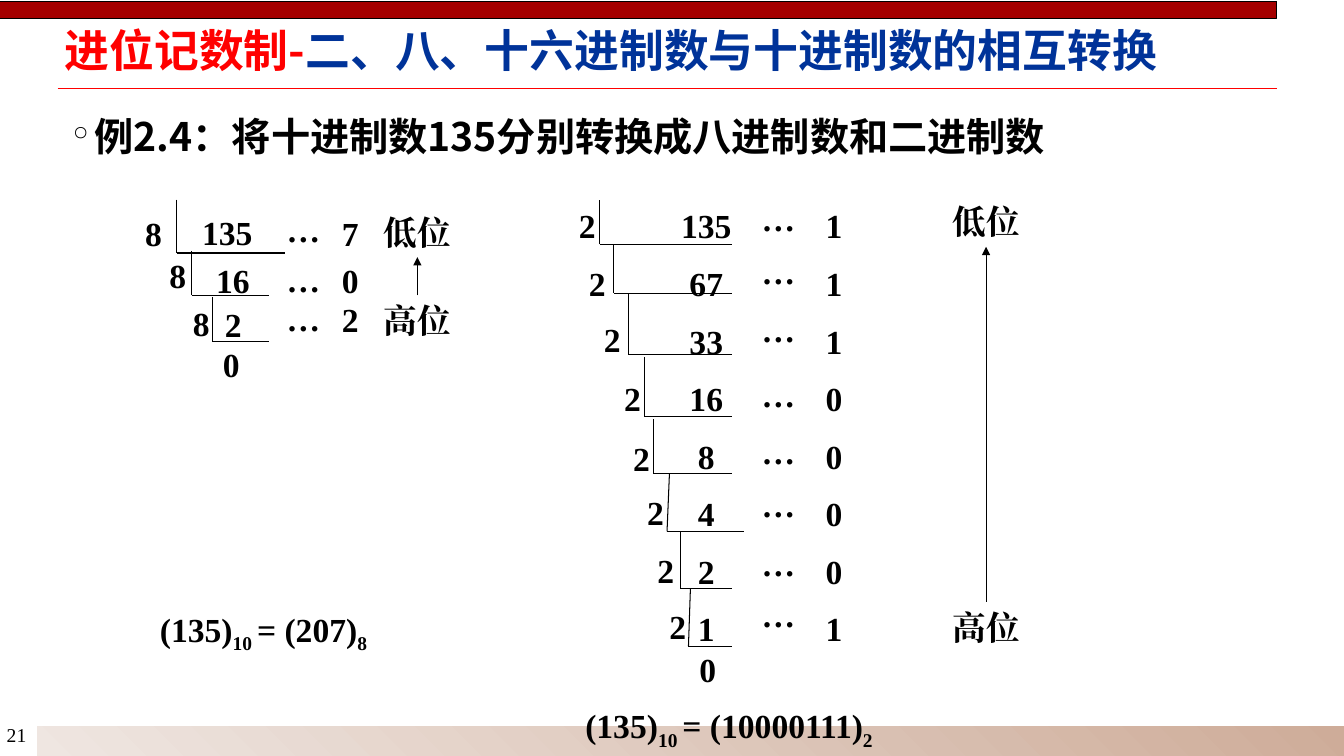
from lxml import etree
from pptx import Presentation, util as u
from pptx.dml.color import RGBColor
from pptx.enum import shapes, text as t
from pptx.oxml.ns import qn

THEME = {
    "black": "000000", "white": "FFFFFF", "red": "FF0000", "blue": "003399",
    "banner": "A40000", "band_dark": "CEAC99", "band_light": "EFE6E1",
    "cjk": "Noto Sans CJK SC", "serif": "Times New Roman",
    "title": 32, "body": 28, "number": 24, "page": 14,
}

TITLE = [("进位记数制-", THEME["red"], 0),
         ("二、八、十六进制数与十进制数的相互转换", THEME["blue"], 0)]
EXAMPLE = "例2.4：将十进制数135分别转换成八进制数和二进制数"
PAGE = "21"
LOW, HIGH, DOTS = "低位", "高位", "…"

FIRST_TOP, STEP = 5.05, 1.45
BINARY_TOPS = [round(FIRST_TOP + STEP * i, 2) for i in range(8)]
BINARY_VALUES = ["135", "67", "33", "16", "8", "4", "2", "1"]

OCTAL = {
    "divisor": "8", "line": 1, "dots_x": 7.65, "remainder_x": 8.83,
    "dividends": [("135", 5.73, 5.21), ("16", 5.87, 6.43),
                  ("2", 5.88, 7.54), ("0", 5.83, 8.53)],
    "divisors": [(3.87, 5.23), (4.48, 6.3), (5.07, 7.52)],
    "brackets": [(4.45, 5.03, 4.45, 6.38, 7.19), (4.83, 6.32, 4.83, 7.44, 6.78),
                 (5.36, 7.49, 5.36, 8.61, 6.78)],
    "dots_tops": [5.13, 6.4, 7.37],
    "remainders": [("7", 5.23), ("0", 6.43), ("2", 7.42)],
    "order": (10.52, 5.21, 7.44),
    "result": ("207", "8", 3.78, 15.21, 5.92),
}
BINARY = {
    "divisor": "2", "line": 0.75, "dots_x": 19.62, "remainder_x": 21.02,
    "dividends": [(value, 17.8, top) for value, top in zip(BINARY_VALUES, BINARY_TOPS)]
                 + [("0", 17.84, 16.23)],
    "divisors": [(14.8, 5.03), (15.05, 6.5), (15.43, 7.92), (15.94, 9.4),
                 (16.17, 10.9), (16.52, 12.27), (16.78, 13.74), (17.08, 15.14)],
    "brackets": [(15.11, 5.05, 15.11, 6.15, 18.44), (15.47, 6.15, 15.47, 7.39, 18.44),
                 (15.85, 7.39, 15.85, 8.94, 18.44), (16.23, 8.99, 16.23, 10.5, 18.44),
                 (16.48, 10.57, 16.48, 11.94, 18.44), (16.87, 11.94, 16.81, 13.39, 18.75),
                 (17.14, 13.39, 17.14, 14.83, 18.44), (17.4, 14.83, 17.35, 16.28, 18.44)],
    "dots_tops": [4.85, 6.2, 7.65, 9.3, 10.74, 12.07, 13.56, 14.83],
    "remainders": list(zip("11100001", BINARY_TOPS)),
    "order": (24.85, 4.95, 15.16),
    "result": ("10000111", "2", 14.5, 17.65, 7.95),
}


def write(shape, text, *, size=THEME["number"], font=THEME["serif"], bold=True,
          align=t.PP_ALIGN.LEFT, anchor=t.MSO_ANCHOR.TOP, wrap=False, margins=None):
    frame = shape.text_frame
    frame.word_wrap = wrap
    frame.auto_size = t.MSO_AUTO_SIZE.NONE
    frame.vertical_anchor = anchor
    if margins:
        frame.margin_left = frame.margin_right = u.Cm(margins[0])
        frame.margin_top = frame.margin_bottom = u.Cm(margins[1])
    paragraph = frame.paragraphs[0]
    paragraph.alignment = align
    runs = [(text, THEME["black"], 0)] if isinstance(text, str) else text
    for words, color, baseline in runs:
        run = paragraph.add_run()
        run.text = words
        run.font.size = u.Pt(size)
        run.font.bold = bold
        run.font.color.rgb = RGBColor.from_string(color)
        run.font.name = font
        properties = run._r.get_or_add_rPr()
        etree.SubElement(properties, qn("a:ea")).set("typeface", font)
        if baseline:
            properties.set("baseline", str(baseline * 1000))
    return paragraph


def add_text(slide, text, left, top, width, height=1.27, **style):
    shape = slide.shapes.add_textbox(u.Cm(left), u.Cm(top), u.Cm(width), u.Cm(height))
    return shape, write(shape, text, **style)


def add_centred(slide, text, centre, top, width=1.37):
    return add_text(slide, text, centre - width / 2, top, width,
                    align=t.PP_ALIGN.CENTER)[0]


def add_line(slide, x1, y1, x2, y2, color=THEME["black"], width=0.75):
    line = slide.shapes.add_connector(
        shapes.MSO_CONNECTOR.STRAIGHT, u.Cm(x1), u.Cm(y1), u.Cm(x2), u.Cm(y2))
    line.line.color.rgb = RGBColor.from_string(color)
    line.line.width = u.Pt(width)
    etree.SubElement(line._element.spPr, qn("a:effectLst"))
    return line


def add_bar(slide, left, top, width, height, line_color):
    bar = slide.shapes.add_shape(shapes.MSO_SHAPE.RECTANGLE, u.Cm(left), u.Cm(top),
                                 u.Cm(width), u.Cm(height))
    bar.shadow.inherit = False
    bar.line.color.rgb = RGBColor.from_string(line_color)
    bar.line.width = u.Pt(0.75)
    return bar


def add_frame(slide):
    add_line(slide, 1.45, 2.23, 32.18, 2.23, THEME["red"], 1)
    band = add_bar(slide, 0.91, 18.29, 33, 0.79, THEME["white"])
    band.fill.gradient()
    band.fill.gradient_angle = 225
    for stop, name in zip(band.fill.gradient_stops, ("band_dark", "band_light")):
        stop.color.rgb = RGBColor.from_string(THEME[name])
    add_text(slide, PAGE, -0.08, 18.08, 1.09, 0.86, size=THEME["page"], bold=False)
    banner = add_bar(slide, 0, 0.03, 32.18, 0.43, THEME["black"])
    banner.fill.solid()
    banner.fill.fore_color.rgb = RGBColor.from_string(THEME["banner"])


def add_headings(slide):
    heading = {"font": THEME["cjk"], "anchor": t.MSO_ANCHOR.MIDDLE,
               "wrap": True, "margins": (0.18, 0.08)}
    title = slide.shapes.title
    title.left, title.top, title.width, title.height = map(u.Cm, (1.45, 0.69, 30.53, 1.32))
    write(title, TITLE, size=THEME["title"], **heading).line_spacing = 0.87
    _, paragraph = add_text(slide, EXAMPLE, 1.65, 2.74, 30.33, 1.35,
                            size=THEME["body"], **heading)
    paragraph.space_before = u.Pt(6)
    properties = paragraph._p.get_or_add_pPr()
    properties.set("marL", str(u.Cm(0.56)))
    properties.set("indent", str(-u.Cm(0.56)))
    etree.SubElement(properties, qn("a:buChar")).set("char", "°")


def add_division(slide, division):
    for value, centre, top in division["dividends"]:
        add_centred(slide, value, centre, top, 0.51 + 0.43 * len(value))
    for centre, top in division["divisors"]:
        add_centred(slide, division["divisor"], centre, top, 0.94)
    for x, top, foot_x, foot, end in division["brackets"]:
        add_line(slide, x, top, foot_x, foot, width=division["line"])
        add_line(slide, foot_x, foot, end, foot, width=division["line"])
    for top in division["dots_tops"]:
        add_centred(slide, DOTS, division["dots_x"], top)
    for value, top in division["remainders"]:
        add_centred(slide, value, division["remainder_x"], top, 0.94)

    centre, low_top, high_top = division["order"]
    low = add_centred(slide, LOW, centre, low_top, 2.24)
    high = add_centred(slide, HIGH, centre, high_top, 2.24)
    arrow = add_line(slide, centre, high_top, centre, low_top + 1.27)
    arrow.begin_connect(high, 0)
    arrow.end_connect(low, 2)
    etree.SubElement(arrow.line._get_or_add_ln(), qn("a:tailEnd")).set("type", "triangle")

    digits, base, left, top, width = division["result"]
    black = THEME["black"]
    add_text(slide, [("(135)", black, 0), ("10 ", black, -25),
                     (f"= ({digits})", black, 0), (base, black, -25)], left, top, width)


def main():
    presentation = Presentation()
    presentation.slide_width, presentation.slide_height = u.Cm(33.87), u.Cm(19.05)
    slide = presentation.slides.add_slide(presentation.slide_layouts[5])
    add_frame(slide)
    add_headings(slide)
    for division in (OCTAL, BINARY):
        add_division(slide, division)
    presentation.save("out.pptx")


if __name__ == "__main__":
    main()
